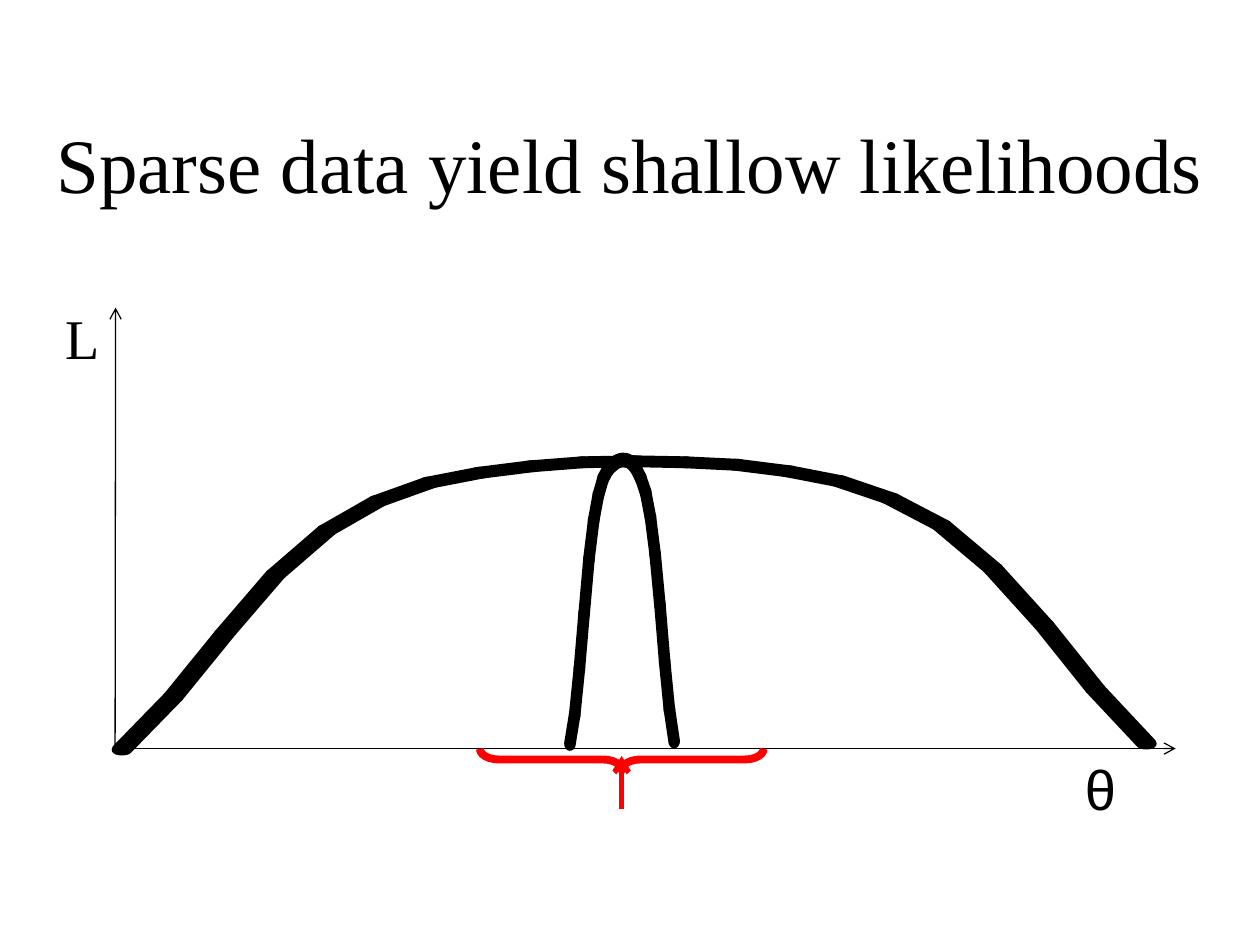
from math import atan2, cos, pi, sin

from lxml.etree import SubElement
from pptx import Presentation
from pptx.dml.color import RGBColor
from pptx.enum.shapes import MSO_CONNECTOR, MSO_SHAPE
from pptx.enum.text import MSO_ANCHOR, PP_ALIGN
from pptx.oxml.ns import qn
from pptx.util import Cm, Pt

BLACK, RED = "000000", "FF0000"
SERIF, SANS = "Times New Roman", "Arial"

# text, box (left, top, width, height), size, font, wrap, align, anchor
TEXTS = [
    ("Sparse data yield shallow likelihoods", (0, 1.7, 25.4, 3.18), 44, SERIF,
     True, PP_ALIGN.CENTER, MSO_ANCHOR.MIDDLE),
    ("L", (1.07, 6, 1.22, 1.63), 32, SERIF,
     False, PP_ALIGN.LEFT, MSO_ANCHOR.TOP),
    ("θ", (21.62, 15.09, 1.12, 1.63), 32, SANS,
     False, PP_ALIGN.LEFT, MSO_ANCHOR.TOP),
]

# Each curve is drawn with an oval pen through evenly spaced points.
CURVES = [
    {"span": (2.46, 23.11), "pen": (0.13, 0.04), "line": 4.5, "heights": [
        15.11, 14.05, 12.78, 11.58, 10.69, 10.1, 9.73, 9.53, 9.4, 9.32, 9.3,
        9.32, 9.37, 9.5, 9.7, 10.05, 10.59, 11.46, 12.6, 13.89, 14.99]},
    {"span": (11.49, 13.59), "pen": (0.01, 0.04), "line": 6, "heights": [
        14.99, 14.41, 13.47, 12.36, 11.28, 10.5, 9.98, 9.65, 9.47, 9.37, 9.3,
        9.27, 9.28, 9.33, 9.45, 9.65, 9.93, 10.43, 11.18, 12.19, 13.34, 14.3,
        14.94]},
]

# start, end, colour, width
AXES = [
    ((2.34, 15.09), (23.7, 15.09), BLACK, 0.75),
    ((2.32, 15.09), (2.33, 6.2), BLACK, 0.75),
]
POINTER = ((12.53, 16.31), (12.53, 15.24), RED, 3)
BRACE = (12.32, 12.45, 0.43, 5.72)
ARC = 6  # steps in each rounded end of a stroke


def paint(form, hue):
    form.fore_color.rgb = RGBColor.from_string(hue)


def write(slide, text, box, size, font, wrap, align, anchor):
    frame = slide.shapes.add_textbox(*map(Cm, box)).text_frame
    frame.word_wrap = wrap
    frame.vertical_anchor = anchor
    para = frame.paragraphs[0]
    para.text = text
    para.alignment = align
    para.font.size = Pt(size)
    para.font.name = font
    para.font.color.rgb = RGBColor.from_string(BLACK)


def sweep(start, end, pen):
    """Outline left by an oval pen moved from start to end."""
    turn = atan2((end[1] - start[1]) / pen[1], (end[0] - start[0]) / pen[0])
    points = []
    for spot, first in ((start, turn + pi / 2), (end, turn - pi / 2)):
        for step in range(ARC + 1):
            angle = first + pi * step / ARC
            points.append((Cm(spot[0] + pen[0] * cos(angle)),
                           Cm(spot[1] + pen[1] * sin(angle))))
    return points


def draw(slide, curve):
    group = slide.shapes.add_group_shape()
    left, right = curve["span"]
    ys = curve["heights"]
    gap = (right - left) / (len(ys) - 1)
    spots = [(left + gap * i, y) for i, y in enumerate(ys)]
    for start, end in zip(spots, spots[1:]):
        edge = sweep(start, end, curve["pen"])
        maker = group.shapes.build_freeform(*edge[0], scale=1.0)
        maker.add_line_segments(edge[1:], close=True)
        stroke = maker.convert_to_shape()
        stroke.shadow.inherit = False
        stroke.fill.solid()
        paint(stroke.fill, BLACK)
        stroke.line.fill.solid()
        paint(stroke.line.fill, BLACK)
        stroke.line.width = Pt(curve["line"])


def arrow(shapes, start, end, hue, width):
    link = shapes.add_connector(MSO_CONNECTOR.STRAIGHT,
                                *map(Cm, start + end))
    link.line.fill.solid()
    paint(link.line.fill, hue)
    link.line.width = Pt(width)
    SubElement(link.line._get_or_add_ln(), qn("a:tailEnd"), type="arrow")
    SubElement(link._element.spPr, qn("a:effectLst"))


def brace(slide):
    mark = slide.shapes.add_shape(MSO_SHAPE.LEFT_BRACE, *map(Cm, BRACE))
    mark.rotation = 270
    mark.adjustments[0] = 0.88
    mark.adjustments[1] = 0.5
    mark.shadow.inherit = False
    mark.fill.background()
    mark.line.fill.solid()
    paint(mark.line.fill, RED)
    mark.line.width = Pt(4.5)


def main():
    deck = Presentation()
    deck.slide_width, deck.slide_height = Cm(25.4), Cm(19.05)
    slide = deck.slides.add_slide(deck.slide_layouts[6])
    for curve in CURVES:
        draw(slide, curve)
    axes = slide.shapes.add_group_shape()
    for axis in AXES:
        arrow(axes.shapes, *axis)
    for item in TEXTS:
        write(slide, *item)
    arrow(slide.shapes, *POINTER)
    brace(slide)
    deck.save("out.pptx")


if __name__ == "__main__":
    main()
